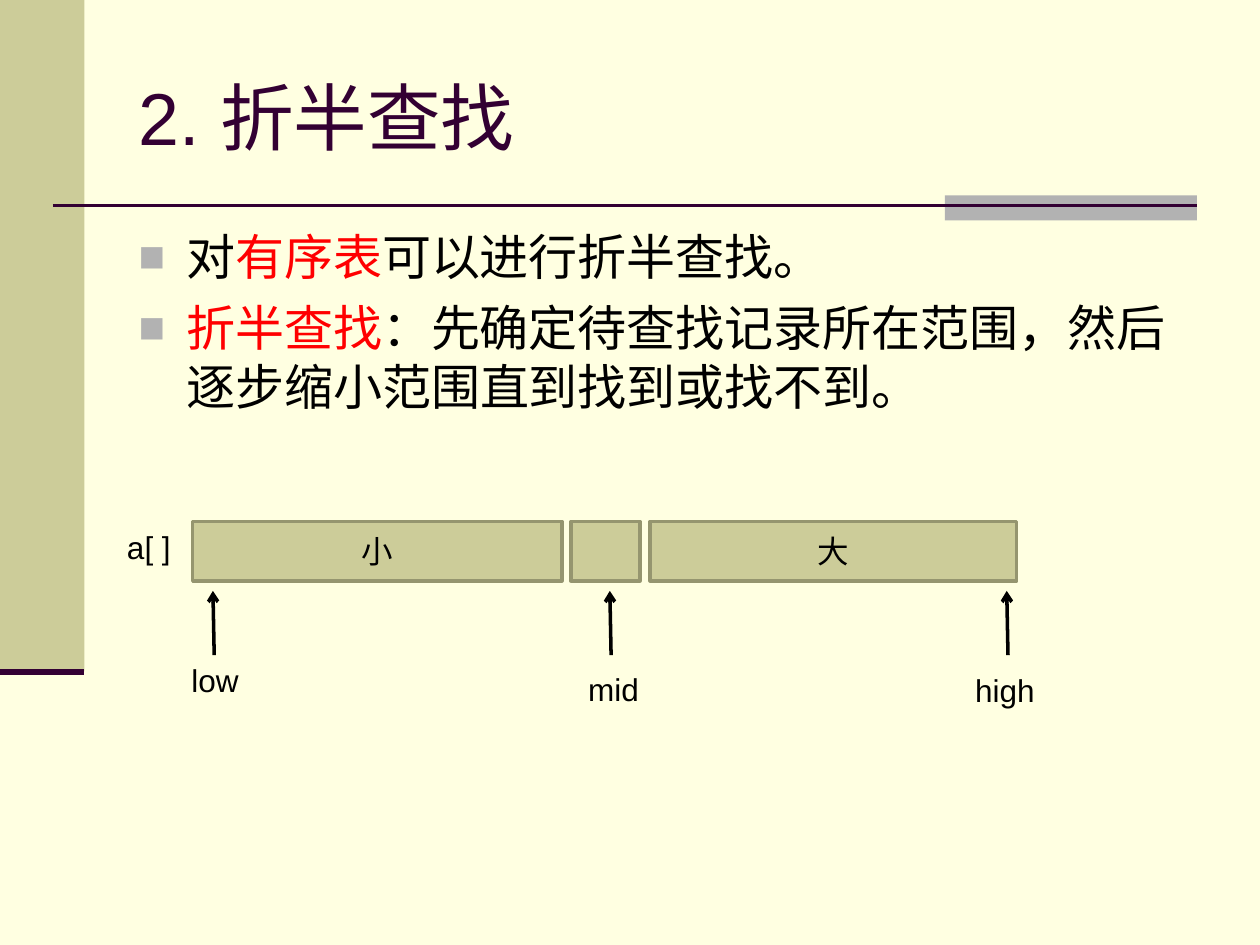
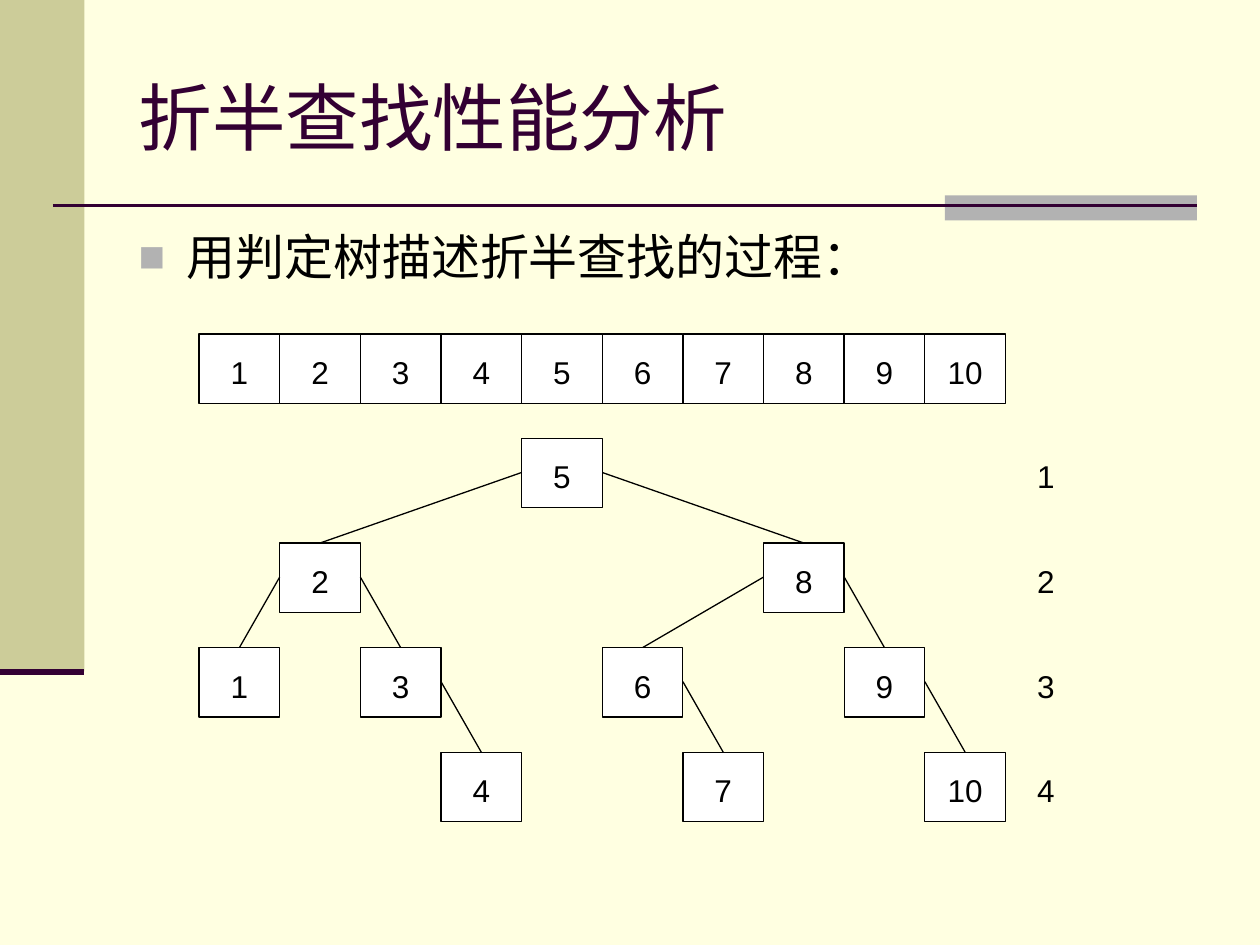
from pptx import Presentation
from pptx.dml.color import RGBColor
from pptx.enum.shapes import MSO_CONNECTOR, MSO_SHAPE
from pptx.enum.text import MSO_ANCHOR, MSO_AUTO_SIZE, PP_ALIGN
from pptx.oxml import parse_xml
from pptx.oxml.ns import nsdecls
from pptx.util import Pt

PX = 9144
FONT = "Arial"
COLORS = {
    "paper": "FFFFE1", "olive": "CCCC99", "edge": "95956F", "grey": "B2B2B2",
    "plum": "330033", "black": "000000", "red": "FF0000", "white": "FFFFFF",
}

SEARCH = {
    "title": [("2. 折半查找", "plum")],
    "body": [
        [("对", "black"), ("有序表", "red"), ("可以进行折半查找。", "black")],
        [("折半查找", "red"),
         ("：先确定待查找记录所在范围，然后逐步缩小范围直到找到或找不到。", "black")],
    ],
}
ANALYSIS = {
    "title": [("折半查找性能分析", "plum")],
    "body": [[("用判定树描述折半查找的过程：", "black")]],
}
PARTS = [("小", 153, 293), ("", 453, 55), ("大", 516, 291)]
LABELS = [("a[ ]", 91, 414, 60), ("low", 142, 520, 62),
          ("mid", 457, 527, 64), ("high", 764, 528, 72)]
ARROWS = [170, 485, 800]
COUNT = 10
CELL_W, CELL_H = 64, 55
ARRAY_LEFT, ARRAY_TOP = 158, 265
TREE_TOP, LEVEL_STEP = 348, 83


def rgb(name):
    return RGBColor.from_string(COLORS[name])


def emu(*lengths):
    return [n * PX for n in lengths]


def write(tf, paragraphs, size=18, align=PP_ALIGN.LEFT, anchor=MSO_ANCHOR.TOP,
          margins=(10, 5), spacing=None, gap=0, bullet=False, wrap=True):
    tf.word_wrap = wrap
    tf.auto_size = MSO_AUTO_SIZE.NONE
    tf.vertical_anchor = anchor
    tf.margin_left = tf.margin_right = margins[0] * PX
    tf.margin_top = tf.margin_bottom = margins[1] * PX
    for i, runs in enumerate(paragraphs):
        p = tf.add_paragraph() if i else tf.paragraphs[0]
        if bullet:
            add_bullet(p)
        p.alignment = align
        p.space_before = Pt(gap if i else 0)
        if spacing:
            p.line_spacing = spacing
        for text, color in runs:
            r = p.add_run()
            r.text = text
            r.font.name = FONT
            r.font.size = Pt(size)
            r.font.color.rgb = rgb(color)


def add_bullet(p):
    pPr = p._p.get_or_add_pPr()
    pPr.set("marL", str(38 * PX))
    pPr.set("indent", str(-38 * PX))
    ns = nsdecls("a")
    for xml in (f'<a:buClr {ns}><a:srgbClr val="{COLORS["grey"]}"/></a:buClr>',
                f'<a:buSzPct {ns} val="90000"/>',
                f'<a:buFont {ns} typeface="{FONT}"/>',
                f'<a:buChar {ns} char="■"/>'):
        pPr.append(parse_xml(xml))


def add_box(s, box, fill, line=None, width=0.75):
    sp = s.shapes.add_shape(MSO_SHAPE.RECTANGLE, *emu(*box))
    sp.shadow.inherit = False
    sp.fill.solid()
    sp.fill.fore_color.rgb = rgb(fill)
    if line:
        sp.line.color.rgb = rgb(line)
        sp.line.width = Pt(width)
    else:
        sp.line.fill.background()
    return sp


def add_line(s, start, end, color="black", width=0.75, arrow=False):
    c = s.shapes.add_connector(MSO_CONNECTOR.STRAIGHT, *emu(*start, *end))
    c.line.color.rgb = rgb(color)
    c.line.width = Pt(width)
    if arrow:
        c.line._get_or_add_ln().append(
            parse_xml(f'<a:tailEnd {nsdecls("a")} type="arrow"/>'))
    c._element.spPr.append(parse_xml(f'<a:effectLst {nsdecls("a")}/>'))


def add_slide(prs, content):
    s = prs.slides.add_slide(prs.slide_layouts[1])
    add_box(s, (0, 0, 67, 533), "olive")
    add_box(s, (750, 155, 200, 20), "grey")
    add_line(s, (42, 163), (950, 163), "plum", 1.5)
    add_line(s, (0, 533), (67, 533), "plum", 3.5)
    title, body = s.shapes.title, s.placeholders[1]
    title.left, title.top, title.width, title.height = emu(100, 30, 850, 125)
    body.left, body.top, body.width, body.height = emu(100, 175, 850, 495)
    write(title.text_frame, [content["title"]], size=42, anchor=MSO_ANCHOR.MIDDLE)
    write(body.text_frame, content["body"], size=28, gap=7, bullet=True)
    return s


def add_search(prs):
    s = add_slide(prs, SEARCH)
    for text, left, width in PARTS:
        sp = add_box(s, (left, 414, width, 47), "olive", "edge", 2)
        if text:
            write(sp.text_frame, [[(text, "black")]], align=PP_ALIGN.CENTER,
                  anchor=MSO_ANCHOR.MIDDLE)
    for text, left, top, width in LABELS:
        tb = s.shapes.add_textbox(*emu(left, top, width, 40))
        write(tb.text_frame, [[(text, "black")]], wrap=False)
    for x in ARROWS:
        add_line(s, (x, 520), (x - 1, 469), width=2, arrow=True)


def column_left(key):
    return ARRAY_LEFT + (key - 1) * CELL_W


def level_top(level):
    return TREE_TOP + (level - 1) * LEVEL_STEP


def add_cell(s, value, left, top, framed=True):
    box = (left, top, CELL_W, CELL_H)
    sp = add_box(s, box, "white", "black") if framed else s.shapes.add_textbox(*emu(*box))
    write(sp.text_frame, [[(str(value), "black")]], align=PP_ALIGN.CENTER,
          margins=(0, 0), spacing=1.5)


def add_tree(s, low, high, level=1):
    mid = (low + high) // 2
    left, top = column_left(mid), level_top(level)
    add_cell(s, mid, left, top)
    depth = level
    for first, last, side in ((low, mid - 1, left), (mid + 1, high, left + CELL_W)):
        if first <= last:
            child = (first + last) // 2
            add_line(s, (side, top + CELL_H // 2),
                     (column_left(child) + CELL_W // 2, level_top(level + 1)))
            depth = max(depth, add_tree(s, first, last, level + 1))
    return depth


def add_analysis(prs):
    s = add_slide(prs, ANALYSIS)
    for key in range(1, COUNT + 1):
        add_cell(s, key, column_left(key), ARRAY_TOP)
    depth = add_tree(s, 1, COUNT)
    for level in range(1, depth + 1):
        add_cell(s, level, column_left(COUNT + 1), level_top(level), framed=False)


def main():
    prs = Presentation()
    prs.slide_width, prs.slide_height = emu(1000, 750)
    fill = prs.slide_master.background.fill
    fill.solid()
    fill.fore_color.rgb = rgb("paper")
    add_search(prs)
    add_analysis(prs)
    prs.save("out.pptx")


if __name__ == "__main__":
    main()
